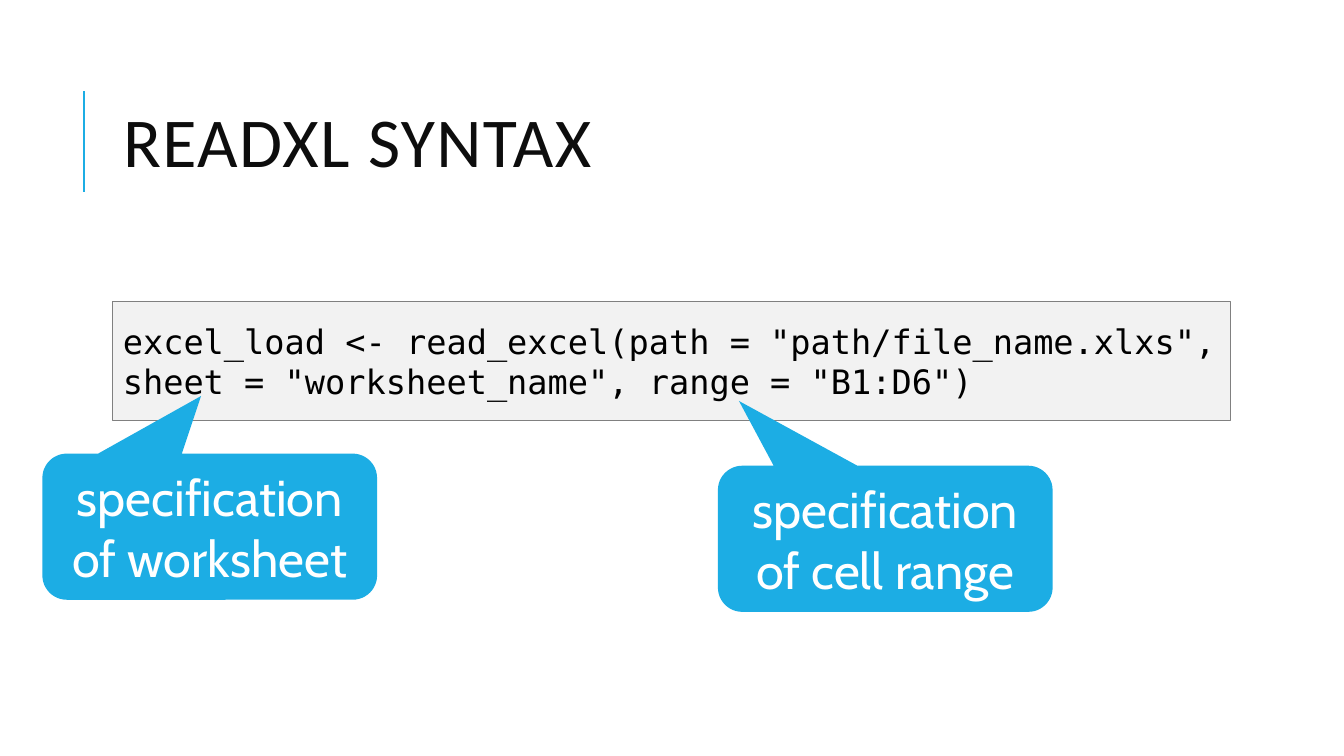
from dataclasses import dataclass

from lxml.etree import SubElement
from pptx import Presentation
from pptx.dml.color import RGBColor
from pptx.enum.shapes import MSO_CONNECTOR, MSO_SHAPE
from pptx.enum.text import MSO_ANCHOR, MSO_AUTO_SIZE, PP_ALIGN
from pptx.oxml.ns import qn
from pptx.util import Inches, Pt

# Content
TITLE = "READXL SYNTAX"
CODE = [
    'excel_load <- read_excel(path = "path/file_name.xlxs",',
    'sheet = "worksheet_name", range = "B1:D6")',
]
# Text, left, top, and pointer tip as shares of the callout's size
CALLOUTS = [
    ("specification of worksheet", 0.42, 4.5, (-0.026, -0.894)),
    ("specification of cell range", 7.12, 4.62, (-0.437, -0.943)),
]
CALLOUT_SIZE = (3.32, 1.45)
CORNER = 0.167


@dataclass(frozen=True)
class Theme:
    accent: str = "1CADE4"
    title_ink: str = "0D0D0D"
    code_ink: str = "000000"
    code_fill: str = "F2F2F2"
    code_edge: str = "808080"
    callout_ink: str = "FFFFFF"
    title_font: str = "Calibri"
    code_font: str = "DejaVu Sans Mono"
    callout_font: str = "Cabin"
    title_size: int = 50
    code_size: int = 24
    callout_size: int = 36


THEME = Theme()


def color(value):
    return RGBColor.from_string(value)


def write(sp, lines, font, size, ink, align):
    tf = sp.text_frame
    tf.text = "\n".join(lines)
    tf.word_wrap = True
    tf.auto_size = MSO_AUTO_SIZE.NONE
    tf.vertical_anchor = MSO_ANCHOR.MIDDLE
    for p in tf.paragraphs:
        p.alignment = align
        for r in p.runs:
            r.font.name = font
            r.font.size = Pt(size)
            r.font.color.rgb = color(ink)
    return tf


def add_box(slide, kind, left, top, width, height, fill):
    sp = slide.shapes.add_shape(
        kind, Inches(left), Inches(top), Inches(width), Inches(height))
    sp.shadow.inherit = False
    sp.fill.solid()
    sp.fill.fore_color.rgb = color(fill)
    return sp


def add_title(slide):
    # Accent rule beside the title
    rule = slide.shapes.add_connector(
        MSO_CONNECTOR.STRAIGHT,
        Inches(0.83), Inches(1.9), Inches(0.83), Inches(0.9))
    rule.line.color.rgb = color(THEME.accent)
    rule.line.width = Pt(1.5)
    SubElement(rule.line._get_or_add_ln().getparent(), qn("a:effectLst"))

    # Title
    sp = slide.shapes.title
    sp.left, sp.top = Inches(1.12), Inches(0.64)
    sp.width, sp.height = Inches(10.63), Inches(1.64)
    tf = write(sp, [TITLE], THEME.title_font, THEME.title_size,
               THEME.title_ink, PP_ALIGN.LEFT)
    p = tf.paragraphs[0]
    p.line_spacing = 0.8
    p.runs[0].font._element.set("spc", "100")


def add_code(slide):
    sp = add_box(slide, MSO_SHAPE.RECTANGLE, 1.12, 2.99, 11.08, 1.18,
                 THEME.code_fill)
    sp.line.color.rgb = color(THEME.code_edge)
    sp.line.width = Pt(0.75)
    tf = write(sp, CODE, THEME.code_font, THEME.code_size,
               THEME.code_ink, PP_ALIGN.LEFT)
    tf.margin_right = 0


def add_callout(slide, text, left, top, tip):
    sp = add_box(slide, MSO_SHAPE.ROUNDED_RECTANGULAR_CALLOUT, left, top,
                 *CALLOUT_SIZE, THEME.accent)
    sp.line.fill.background()
    for i, value in enumerate((*tip, CORNER)):
        sp.adjustments[i] = value
    write(sp, [text], THEME.callout_font, THEME.callout_size,
          THEME.callout_ink, PP_ALIGN.CENTER)


def main():
    prs = Presentation()
    prs.slide_width, prs.slide_height = Inches(13.33), Inches(7.5)
    slide = prs.slides.add_slide(prs.slide_layouts.get_by_name("Title Only"))
    add_title(slide)
    add_code(slide)
    for callout in CALLOUTS:
        add_callout(slide, *callout)
    prs.save("out.pptx")


if __name__ == "__main__":
    main()
